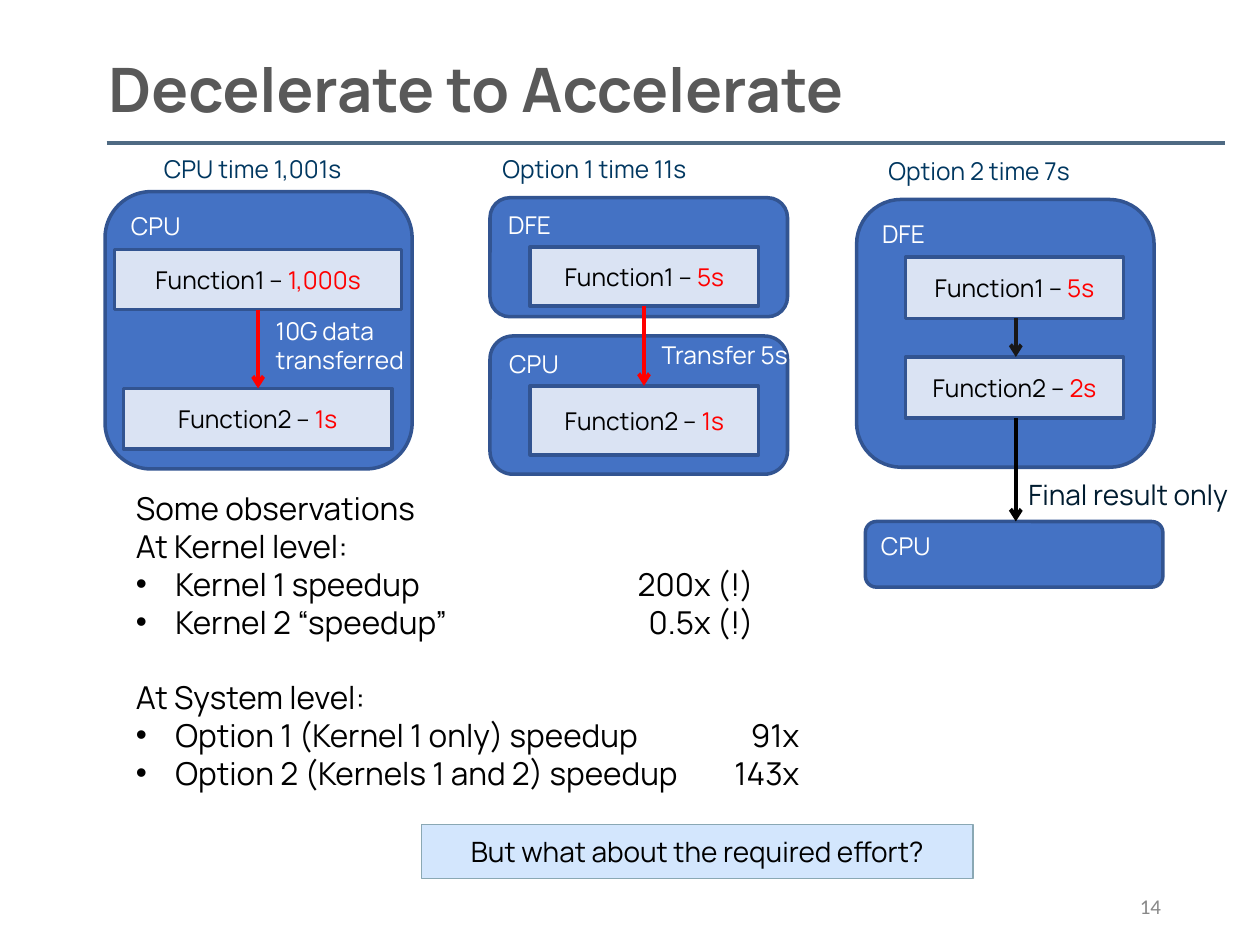
from dataclasses import dataclass

from lxml.etree import SubElement
from pptx import Presentation
from pptx.dml.color import RGBColor
from pptx.enum.shapes import MSO_CONNECTOR, MSO_SHAPE
from pptx.enum.text import MSO_ANCHOR, MSO_AUTO_SIZE, PP_ALIGN
from pptx.oxml.ns import qn
from pptx.util import Pt


@dataclass(frozen=True)
class Theme:
    font: str = "Manrope"
    number_font: str = "Calibri"
    title: str = "595959"
    rule: str = "4F6A83"
    panel: str = "4472C4"
    function: str = "DAE3F3"
    border: str = "325491"
    callout: str = "D3E6FD"
    callout_border: str = "8AA8B4"
    heading: str = "003760"
    result: str = "001C30"
    white: str = "FFFFFF"
    black: str = "000000"
    dark: str = "181717"
    red: str = "FF0000"
    gray: str = "888888"
    title_size: int = 35
    body_size: int = 18
    large_size: int = 16
    label_size: int = 14
    number_size: int = 12


theme = Theme()


def write_runs(paragraph, runs, size, font=theme.font, bold=False):
    for text, color in runs:
        run = paragraph.add_run()
        run.text = text
        run.font.color.rgb = RGBColor.from_string(color)
        for name, value in {"name": font, "size": Pt(size), "bold": bold}.items():
            setattr(run.font, name, value)


def add_line(start, end, color, arrow=True):
    line = slide.shapes.add_connector(
        MSO_CONNECTOR.STRAIGHT, *[Pt(value) for value in (*start, *end)])
    line.line.color.rgb = RGBColor.from_string(color)
    line.line.width = Pt(2.25)
    if arrow:
        SubElement(line.line._get_or_add_ln(), qn("a:tailEnd"), type="arrow")
    SubElement(line._element.spPr, qn("a:effectLst"))


presentation = Presentation()
presentation.slide_width = Pt(720)
presentation.slide_height = Pt(540)
slide = presentation.slides.add_slide(presentation.slide_layouts[1])
title, body = slide.placeholders

placements = [(title, (62, 27, 582, 46), MSO_ANCHOR.MIDDLE, 0),
              (body, (70.5, 276, 416, 204), MSO_ANCHOR.TOP, 1)]
for shape, position, anchor, inset in placements:
    for name, value in zip(("left", "top", "width", "height"), position):
        setattr(shape, name, Pt(value))
    frame_format = {
        "auto_size": MSO_AUTO_SIZE.NONE, "word_wrap": True, "vertical_anchor": anchor,
        "margin_left": Pt(7.2 * inset), "margin_right": Pt(7.2 * inset),
        "margin_top": Pt(3.6 * inset), "margin_bottom": Pt(3.6 * inset),
    }
    for name, value in frame_format.items():
        setattr(shape.text_frame, name, value)

title_paragraph = title.text_frame.paragraphs[0]
title_paragraph.alignment = PP_ALIGN.LEFT
write_runs(title_paragraph, [("Decelerate to Accelerate", theme.title)],
           theme.title_size, bold=True)

observations = [
    ("Some observations", 0, None),
    ("At Kernel level:", 0, None),
    ("Kernel 1 speedup\t200x (!)", 0, 353),
    ("Kernel 2 “speedup”\t0.5x (!)", 0, 353),
    ("At System level:", 21.6, None),
    ("Option 1 (Kernel 1 only) speedup\t91x", 0, 397),
    ("Option 2 (Kernels 1 and 2) speedup\t143x", 0, 397),
]
for index, (text, space, tab) in enumerate(observations):
    frame = body.text_frame
    paragraph = frame.add_paragraph() if index else frame.paragraphs[0]
    paragraph.space_before = Pt(space)
    properties = paragraph._p.get_or_add_pPr()
    properties.set("marL", str(Pt(22.5) if tab else 0))
    properties.set("indent", str(Pt(-22.5) if tab else 0))
    if tab:
        SubElement(properties, qn("a:buFont"), typeface="Arial")
        SubElement(properties, qn("a:buChar"), char="•")
        tabs = SubElement(properties, qn("a:tabLst"))
        SubElement(tabs, qn("a:tab"), pos=str(Pt(tab)), algn="r")
    else:
        SubElement(properties, qn("a:buNone"))
    write_runs(paragraph, [(text, theme.black)], theme.body_size)

add_line((61, 81.5), (700, 81.5), theme.rule, arrow=False)

panel = {"kind": MSO_SHAPE.ROUNDED_RECTANGLE, "fill": theme.panel,
         "border": theme.border, "width": 2, "anchor": MSO_ANCHOR.TOP,
         "align": PP_ALIGN.LEFT}
function = {"kind": MSO_SHAPE.RECTANGLE, "fill": theme.function,
            "border": theme.border, "width": 2, "anchor": MSO_ANCHOR.MIDDLE,
            "align": PP_ALIGN.CENTER}
callout = {**function, "fill": theme.callout, "border": theme.callout_border,
           "width": 0.75, "size": theme.large_size}
boxes = [
    (panel, (280, 192, 170, 79), [("CPU", theme.white)]),
    (panel, (280, 113, 170, 68), [("DFE", theme.white)]),
    (panel, (60, 109.5, 175.5, 158.5), [("CPU", theme.white)]),
    (panel, (494.5, 298, 170, 37.5), [("CPU", theme.white)]),
    (panel, (489.5, 114, 170, 153), [("DFE", theme.white)]),
    (callout, (241, 471, 315, 31),
     [("But what about the required effort?", theme.black)]),
]
functions = [
    ((303, 141, 130.5, 34), 1, "5s"),
    ((303, 220.5, 130.5, 39.5), 2, "1s"),
    ((65.5, 142.5, 164, 34.5), 1, "1,000s"),
    ((70.5, 222, 153.5, 34.5), 2, "1s"),
    ((517.5, 147, 124.5, 35), 1, "5s"),
    ((517.5, 204, 124.5, 35), 2, "2s"),
]
for position, number, time in functions:
    runs = [(f"Function{number} – ", theme.black), (time, theme.red)]
    boxes.append((function, position, runs))

for style, position, runs in boxes:
    shape = slide.shapes.add_shape(style["kind"], *[Pt(value) for value in position])
    shape.shadow.inherit = False
    shape.fill.solid()
    shape.fill.fore_color.rgb = RGBColor.from_string(style["fill"])
    shape.line.color.rgb = RGBColor.from_string(style["border"])
    shape.line.width = Pt(style["width"])
    shape.text_frame.word_wrap = True
    shape.text_frame.vertical_anchor = style["anchor"]
    paragraph = shape.text_frame.paragraphs[0]
    paragraph.alignment = style["align"]
    write_runs(paragraph, runs, style.get("size", theme.label_size))

arrows = [
    (368, 175, 220.5, theme.red),
    (147.5, 177, 222, theme.red),
    (580.5, 182, 204, theme.dark),
    (580.5, 239, 298, theme.black),
]
for x, top, bottom, color in arrows:
    add_line((x, top), (x, bottom), color)

label = {"size": theme.label_size}
result = {"size": theme.large_size}
page_number = {"size": theme.number_size, "font": theme.number_font}
labels = [
    ("10G data transferred", (150.5, 177, 91, 41), theme.white, label, PP_ALIGN.LEFT),
    ("Transfer 5s", (371, 191, 96.5, 24.5), theme.white, label, PP_ALIGN.LEFT),
    ("Final result only", (580.5, 269.5, 137, 26.5), theme.result, result, PP_ALIGN.LEFT),
    ("CPU time 1,001s", (86.5, 84.5, 153.5, 24.5), theme.heading, label, PP_ALIGN.LEFT),
    ("Option 1 time 11s", (280, 84.5, 170, 24.5), theme.heading, label, PP_ALIGN.LEFT),
    ("Option 2 time 7s", (500.5, 85.5, 170, 24.5), theme.heading, label, PP_ALIGN.LEFT),
    ("14", (508.5, 507, 162, 22), theme.gray, page_number, PP_ALIGN.RIGHT),
]
for text, position, color, font_format, align in labels:
    shape = slide.shapes.add_textbox(*[Pt(value) for value in position])
    shape.text_frame.word_wrap = True
    paragraph = shape.text_frame.paragraphs[0]
    paragraph.alignment = align
    write_runs(paragraph, [(text, color)], **font_format)

presentation.save("out.pptx")
